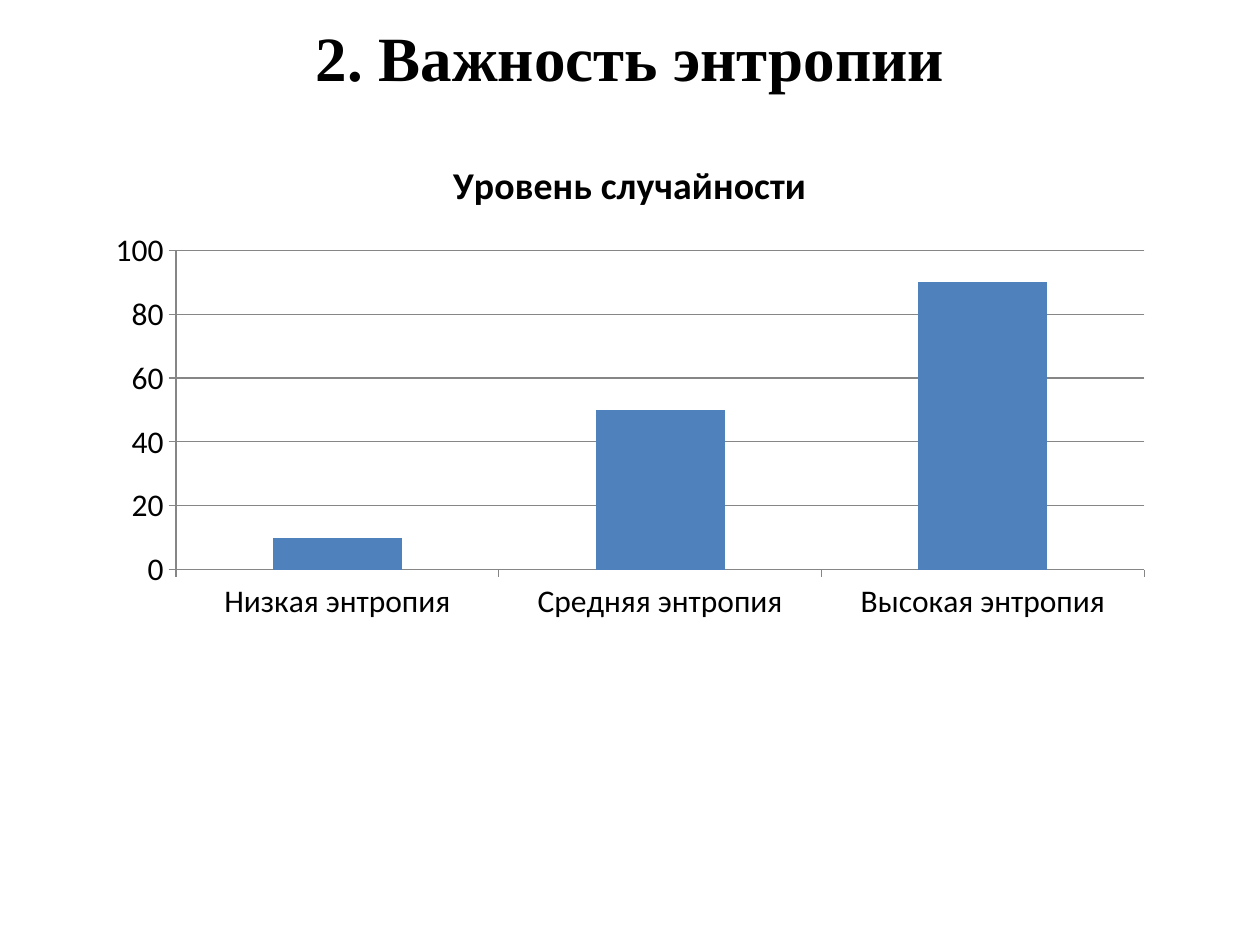
from pptx import Presentation
from pptx.chart.data import CategoryChartData
from pptx.dml.color import RGBColor
from pptx.enum.chart import XL_CHART_TYPE, XL_TICK_MARK
from pptx.enum.text import MSO_ANCHOR, PP_ALIGN
from pptx.util import Cm, Pt

COLUMNS = XL_CHART_TYPE.COLUMN_CLUSTERED
TICK_OUTSIDE = XL_TICK_MARK.OUTSIDE
TICK_NONE = XL_TICK_MARK.NONE
MIDDLE = MSO_ANCHOR.MIDDLE
CENTER = PP_ALIGN.CENTER

BLACK = RGBColor(0x00, 0x00, 0x00)
BLUE = RGBColor(0x4F, 0x81, 0xBD)
GRAY = RGBColor(0x86, 0x86, 0x86)

SERIES_NAME = "Уровень случайности"
LEVELS = {"Низкая энтропия": 10, "Средняя энтропия": 50, "Высокая энтропия": 90}

deck = Presentation()
deck.slide_width, deck.slide_height = Cm(25.4), Cm(19.05)
page = deck.slides.add_slide(deck.slide_layouts[5])

# Slide title
title = page.shapes.title
title.left, title.top, title.width, title.height = Cm(1.27), Cm(0.15), Cm(22.86), Cm(1.96)
title.text_frame.vertical_anchor = MIDDLE
para = title.text_frame.paragraphs[0]
para.alignment = CENTER
span = para.add_run()
span.text = "2. Важность энтропии"
span.font.name = "Times New Roman"
span.font.size = Pt(36)
span.font.bold = True
span.font.color.rgb = BLACK

# Entropy chart
data = CategoryChartData()
data.categories = list(LEVELS)
data.add_series(SERIES_NAME, list(LEVELS.values()))
chart = page.shapes.add_chart(COLUMNS, Cm(1.9), Cm(2.72), Cm(21.6), Cm(9.98), data).chart
chart.has_legend = False
chart.font.name = "Calibri"
chart.font.size = Pt(18)
chart.font.color.rgb = BLACK

chart.has_title = True
chart.chart_title.include_in_layout = False
span = chart.chart_title.text_frame.paragraphs[0].add_run()
span.text = SERIES_NAME
span.font.name = "Calibri"
span.font.size = Pt(21.6)
span.font.bold = True
span.font.color.rgb = BLACK

plot = chart.plots[0]
plot.gap_width = 150
plot.vary_by_categories = False
columns = plot.series[0]
columns.format.fill.solid()
columns.format.fill.fore_color.rgb = BLUE

for axis in (chart.category_axis, chart.value_axis):
    axis.major_tick_mark = TICK_OUTSIDE
    axis.minor_tick_mark = TICK_NONE
    axis.format.line.color.rgb = GRAY
    axis.format.line.width = Pt(0.75)

scale = chart.value_axis
scale.minimum_scale, scale.maximum_scale, scale.major_unit = 0, 100, 20
scale.has_major_gridlines = True
scale.major_gridlines.format.line.color.rgb = GRAY
scale.major_gridlines.format.line.width = Pt(0.75)

deck.save("out.pptx")
